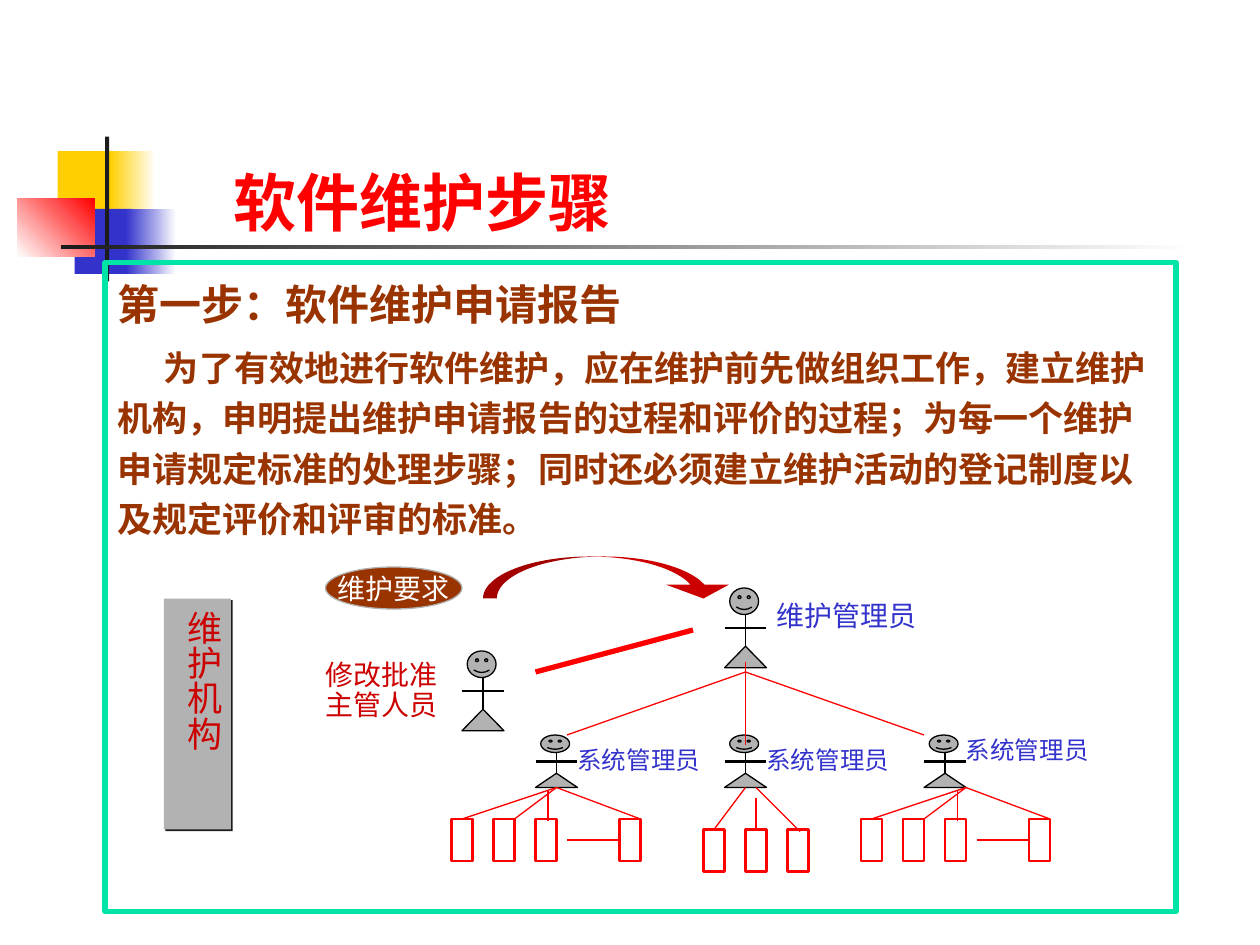
from lxml.etree import SubElement
from pptx import Presentation
from pptx.dml.color import RGBColor
from pptx.enum.shapes import MSO_CONNECTOR, MSO_SHAPE
from pptx.enum.text import MSO_ANCHOR, MSO_AUTO_SIZE, PP_ALIGN
from pptx.oxml.ns import qn
from pptx.util import Inches, Pt

WHITE = RGBColor(0xFF, 0xFF, 0xFF)
BLACK = RGBColor(0x00, 0x00, 0x00)
INK = RGBColor(0x1C, 0x1C, 0x1C)
GREY = RGBColor(0xB2, 0xB2, 0xB2)
YELLOW = RGBColor(0xFF, 0xCF, 0x01)
BLUE = RGBColor(0x33, 0x33, 0xCC)
RED = RGBColor(0xFF, 0x00, 0x00)
DARK_RED = RGBColor(0xCC, 0x00, 0x00)
BROWN = RGBColor(0x99, 0x33, 0x00)
MINT = RGBColor(0x00, 0xE4, 0xA8)

COLUMNS, ROWS = 120, 90


class Board:
    """Current slide on a grid of 120 columns by 90 rows."""

    font_name = "Lato"

    def __init__(self, presentation):
        self.slide = presentation.slides.add_slide(presentation.slide_layouts[5])
        self.column = presentation.slide_width / COLUMNS
        self.row = presentation.slide_height / ROWS

    def place(self, left, top, width, height):
        return (round(left * self.column), round(top * self.row),
                round(width * self.column), round(height * self.row))

    def set_text(self, shape, lines, size, color, bold=False, margins=(0, 0, 0, 0),
                 frame_format=None, paragraph_format=None):
        frame = shape.text_frame
        settings = {"word_wrap": True, "vertical_anchor": MSO_ANCHOR.TOP,
                    "auto_size": MSO_AUTO_SIZE.NONE}
        settings.update(frame_format or {})
        for side, margin in zip(("left", "top", "right", "bottom"), margins):
            settings["margin_" + side] = Inches(margin)
        for name, value in settings.items():
            setattr(frame, name, value)
        frame.text = "\n".join(lines)
        for paragraph in frame.paragraphs:
            settings = {"alignment": PP_ALIGN.LEFT, "space_before": Pt(0)}
            settings.update(paragraph_format or {})
            for name, value in settings.items():
                setattr(paragraph, name, value)
            for name, value in {"name": self.font_name, "size": Pt(size), "bold": bold}.items():
                setattr(paragraph.font, name, value)
            paragraph.font.color.rgb = color
        return frame

    def title(self, text, area):
        shape = self.slide.shapes.title
        for name, value in zip(("left", "top", "width", "height"), self.place(*area)):
            setattr(shape, name, value)
        self.set_text(shape, [text], 36, RED, True, (0.1, 0.05, 0.1, 0.05))

    def label(self, lines, area, size, color, **options):
        shape = self.slide.shapes.add_textbox(*self.place(*area))
        self.set_text(shape, lines, size, color, **options)

    def shape(self, kind, area, fill=None, line=None, weight=0.75, fade=None, angle=0):
        shape = self.slide.shapes.add_shape(kind, *self.place(*area))
        shape.shadow.inherit = False
        if fade is not None:
            shape.fill.gradient()
            shape.fill.gradient_angle = angle
            for stop, color in zip(shape.fill.gradient_stops, (fill, fade)):
                stop.color.rgb = color
        elif fill is not None:
            shape.fill.solid()
            shape.fill.fore_color.rgb = fill
        else:
            shape.fill.background()
        if line is None:
            shape.line.fill.background()
        else:
            shape.line.color.rgb = line
            shape.line.width = Pt(weight)
        return shape

    def line(self, start, end, color=RED, weight=0.75, target=None, side=0):
        points = self.place(*start, *end)
        connector = self.slide.shapes.add_connector(MSO_CONNECTOR.STRAIGHT, *points)
        connector.line.color.rgb = color
        connector.line.width = Pt(weight)
        SubElement(connector._element.spPr, qn("a:effectLst"))
        if target is not None:
            connector.end_connect(target, side)

    def person(self, left, top, height):
        middle = left + 2
        head = self.shape(MSO_SHAPE.SMILEY_FACE, (left + 0.5, top, 2.75, height / 3), GREY, BLACK)
        head.adjustments[0] = 0.09
        arms = top + height / 2
        self.line((left, arms), (left + 4, arms), BLACK, 1.5)
        self.line((middle, top + height / 3), (middle, top + height * 0.86), BLACK)
        self.shape(MSO_SHAPE.ISOSCELES_TRIANGLE,
                   (left, top + height * 0.73, 4, height * 0.27), GREY, BLACK)

    def team(self, left, top, offsets, rays, dotted=False):
        """Rays are (start, end, index of the box joined at its top or None)."""
        boxes = [self.shape(MSO_SHAPE.RECTANGLE, (left + offset, top, 2, 4), line=RED, weight=1.5)
                 for offset in offsets]
        for (x1, y1), (x2, y2), index in rays:
            target = None if index is None else boxes[index]
            self.line((left + x1, y1), (left + x2, y2), target=target)
        if dotted:
            self.line((left + 11, top + 2), (left + 16, top + 2), target=boxes[-1], side=1)


def main():
    presentation = Presentation()
    presentation.slide_width, presentation.slide_height = Inches(10), Inches(7.5)
    board = Board(presentation)
    rectangle = MSO_SHAPE.RECTANGLE

    # Corner decoration and rule
    for area, fill, fade, angle in (
            ((5.5, 14.4, 5.8, 6.2), YELLOW, None, 0),
            ((10.5, 14.4, 4.3, 6.2), YELLOW, WHITE, 0),
            ((7.1, 19.9, 5.5, 6.2), BLUE, None, 0),
            ((12, 19.9, 4.8, 6.2), BLUE, WHITE, 0),
            ((1.65, 18.95, 7.35, 5.5), WHITE, RED, 45),
            ((10, 13, 0.4, 13.8), INK, None, 0),
            ((5.8, 23.35, 108, 0.4), INK, WHITE, 0)):
        board.shape(rectangle, area, fill, fade=fade, angle=angle)

    # Title and framed text
    board.title("软件维护步骤", (21, 15, 60, 8.4))
    panel = board.shape(rectangle, (10, 25, 102, 61.8), line=MINT, weight=3)
    frame = board.set_text(
        panel,
        ["第一步：软件维护申请报告",
         "为了有效地进行软件维护，应在维护前先做组织工作，建立维护机构，申明提出维护申请报告的过程和评价的过程；"
         "为每一个维护申请规定标准的处理步骤；同时还必须建立维护活动的登记制度以及规定评价和评审的标准。"],
        20, BROWN, True, (0.1, 0.05, 0.1, 0.05), paragraph_format={"line_spacing": 1.2})
    heading, body = frame.paragraphs
    heading.font.size = Pt(24)
    body.space_before = Pt(5)
    body._p.get_or_add_pPr().set("indent", str(Inches(0.37)))

    # People and their labels
    for left, top, height in ((69, 56, 7.6), (44, 62, 7.6), (51, 70, 5), (69, 70, 5), (88, 70, 5)):
        board.person(left, top, height)
    board.label(["维护管理员"], (74, 57, 17, 3.2), 16, BLUE)
    board.label(["修改批准", "主管人员"], (31, 63, 11, 8.6), 16, DARK_RED,
                paragraph_format={"line_spacing": 0.9})
    for left, top in ((55, 71), (73, 71), (92, 70)):
        board.label(["系统管理员"], (left, top, 17, 2.8), 14, BLUE)

    # Request and its path to the manager
    request = board.shape(MSO_SHAPE.OVAL, (31, 54, 13, 4), BROWN, GREY)
    board.set_text(request, ["维护要求"], 16, WHITE, margins=(0.1, 0.05, 0.1, 0.05),
                   frame_format={"word_wrap": False, "vertical_anchor": MSO_ANCHOR.MIDDLE},
                   paragraph_format={"alignment": PP_ALIGN.CENTER})
    arrow = board.shape(MSO_SHAPE.CURVED_DOWN_ARROW, (46, 53, 24, 4), DARK_RED)
    for index, value in enumerate((0.33, 1.5, 0.33)):
        arrow.adjustments[index] = value
    board.line((51, 64), (66, 60), weight=3)

    # Manager to administrators
    for start, end in (((71, 64), (54, 70)), ((71, 63), (71, 71)), ((71, 64), (88, 70))):
        board.line(start, end)

    # Administrators to their teams
    wide_rays = [((10, 75), (1, 78), 0), ((10, 75), (6, 78), None),
                 ((9.2, 75.2), (9.2, 78.2), None), ((10, 75), (18, 78), None)]
    for left in (43, 82):
        board.team(left, 78, (0, 4, 8, 16), wide_rays, dotted=True)
    board.team(67, 79, (0, 4, 8), [((4, 75), (1, 79), 0), ((5, 76), (5, 79), 1),
                                   ((5, 75), (9.2, 79.2), None)])

    # Vertical plate with a hard shadow
    plate = board.shape(rectangle, (15.6, 57, 6.4, 22), GREY)
    board.set_text(plate, ["维护机构"], 20, DARK_RED, margins=(0.05, 0.1, 0.05, 0.1),
                   paragraph_format={"alignment": PP_ALIGN.CENTER})
    plate.text_frame._txBody.bodyPr.set("vert", "eaVert")
    effects = plate._element.spPr.find(qn("a:effectLst"))
    shadow = SubElement(effects, qn("a:outerShdw"), blurRad="0", dist=str(Pt(1.4)),
                        dir="2700000", algn="ctr", rotWithShape="0")
    SubElement(shadow, qn("a:srgbClr"), val=str(INK))

    presentation.save("out.pptx")


if __name__ == "__main__":
    main()
